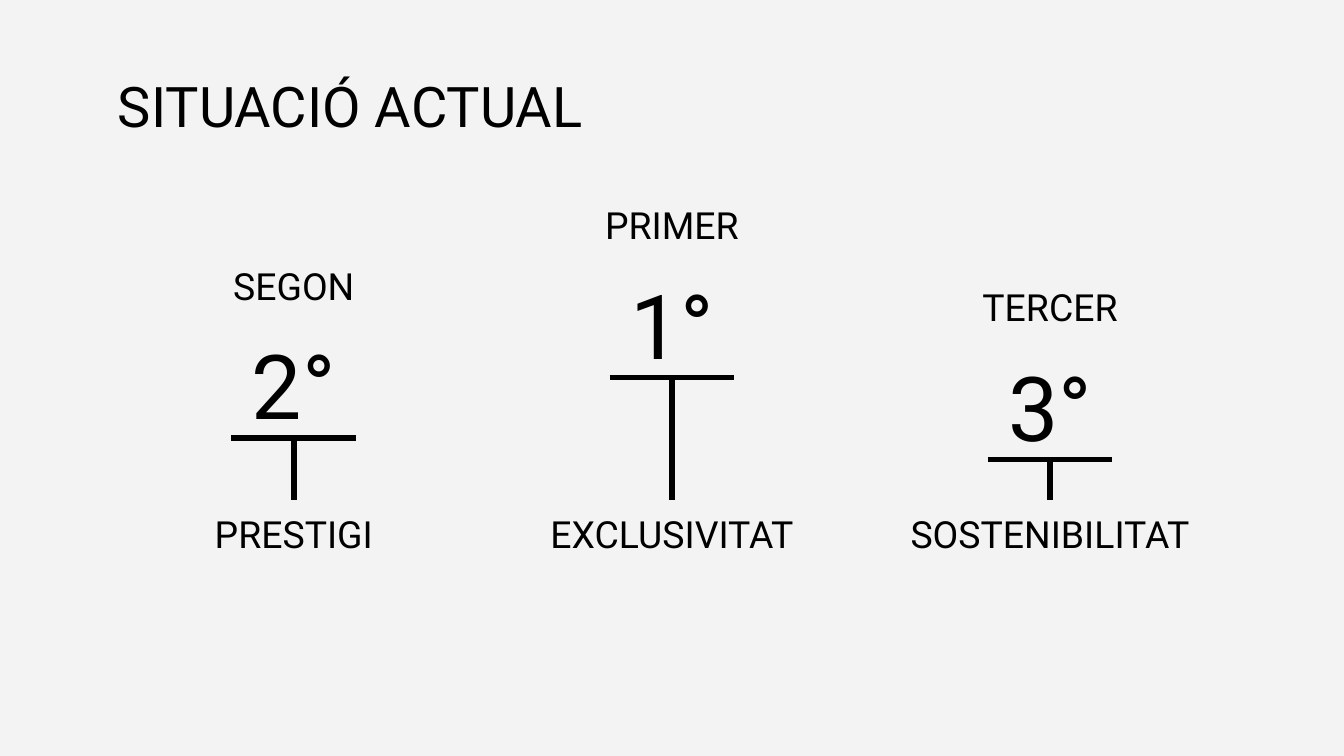
"""Build the podium slide that ranks three values of the current situation."""
from dataclasses import dataclass

from lxml import etree
from pptx import Presentation
from pptx import util as u
from pptx.dml.color import RGBColor
from pptx.enum import shapes, text
from pptx.oxml import ns


@dataclass(frozen=True)
class Theme:
    font: str = "Roboto"
    ink: RGBColor = RGBColor(0x00, 0x00, 0x00)
    background: RGBColor = RGBColor(0xF3, 0xF3, 0xF3)
    title_size: int = 30
    rank_size: int = 48
    label_size: int = 20
    line_width: int = 3


@dataclass(frozen=True)
class Grid:
    slide_width: float = 10
    slide_height: float = 10 * 9 / 16
    left: float = 0.78
    columns: int = 3
    base: float = 3.72
    label_height: float = 0.52
    rank_height: float = 0.81
    label_gap: float = 0.06
    bar_share: float = 0.33

    @property
    def width(self) -> float:
        return self.slide_width - 2 * self.left

    @property
    def column_width(self) -> float:
        return self.width / self.columns

    def column_left(self, column: int) -> float:
        return self.left + column * self.column_width


@dataclass(frozen=True)
class Step:
    column: int
    bar_top: float
    place: str
    rank: str
    value: str


THEME = Theme()
GRID = Grid()
STEPS = (
    Step(0, 3.26, "SEGON", "2°", "PRESTIGI"),
    Step(1, 2.81, "PRIMER", "1°", "EXCLUSIVITAT"),
    Step(2, 3.42, "TERCER", "3°", "SOSTENIBILITAT"),
)


def add_text(slide, content: str, left: float, top: float, width: float, height: float,
             size: int, anchor, alignment) -> None:
    shape = slide.shapes.add_textbox(*map(u.Inches, (left, top, width, height)))
    frame = shape.text_frame
    frame.word_wrap = True
    frame.vertical_anchor = anchor
    frame.margin_left = frame.margin_right = u.Inches(0.1)
    frame.margin_top = frame.margin_bottom = u.Inches(0.1)
    paragraph = frame.paragraphs[0]
    paragraph.text = content
    paragraph.alignment = alignment
    paragraph.font.name = THEME.font
    paragraph.font.size = u.Pt(size)
    paragraph.font.color.rgb = THEME.ink


def add_line(slide, start: tuple[float, float], end: tuple[float, float]) -> None:
    line = slide.shapes.add_connector(
        shapes.MSO_CONNECTOR.STRAIGHT, *map(u.Inches, (*start, *end)))
    line.line.color.rgb = THEME.ink
    line.line.width = u.Pt(THEME.line_width)
    etree.SubElement(line._element.spPr, ns.qn("a:effectLst"))


def add_step(slide, step: Step) -> None:
    left = GRID.column_left(step.column)
    center = left + GRID.column_width / 2
    half_bar = GRID.column_width * GRID.bar_share / 2
    rank_top = step.bar_top - GRID.rank_height
    place_top = rank_top - GRID.label_gap - GRID.label_height
    bottom, middle = text.MSO_ANCHOR.BOTTOM, text.MSO_ANCHOR.MIDDLE
    rows = (
        (step.place, place_top, GRID.label_height, THEME.label_size, bottom),
        (step.rank, rank_top, GRID.rank_height, THEME.rank_size, middle),
        (step.value, GRID.base, GRID.label_height, THEME.label_size, bottom),
    )
    for content, top, height, size, anchor in rows:
        add_text(slide, content, left, top, GRID.column_width, height, size, anchor,
                 text.PP_ALIGN.CENTER)
    add_line(slide, (center - half_bar, step.bar_top), (center + half_bar, step.bar_top))
    add_line(slide, (center, step.bar_top), (center, GRID.base))


def main() -> None:
    presentation = Presentation()
    presentation.slide_width = u.Inches(GRID.slide_width)
    presentation.slide_height = u.Inches(GRID.slide_height)
    slide = presentation.slides.add_slide(presentation.slide_layouts[6])
    slide.background.fill.solid()
    slide.background.fill.fore_color.rgb = THEME.background
    add_text(slide, "SITUACIÓ ACTUAL", GRID.left, 0.43, GRID.width, 0.63,
             THEME.title_size, text.MSO_ANCHOR.TOP, text.PP_ALIGN.LEFT)
    for step in STEPS:
        add_step(slide, step)
    presentation.save("out.pptx")


if __name__ == "__main__":
    main()
